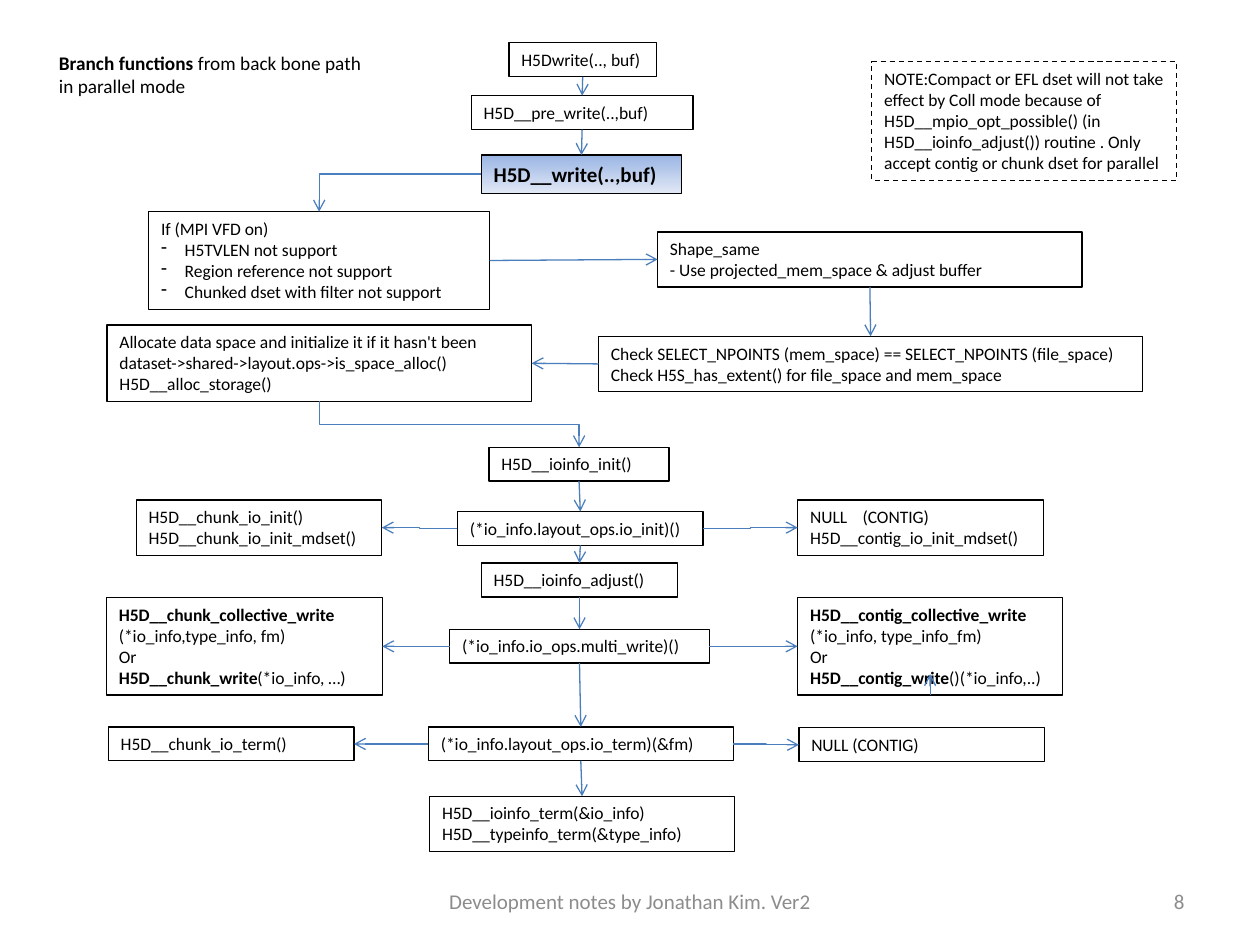
from dataclasses import dataclass

from lxml import etree
from pptx import Presentation
from pptx import util as u
from pptx.dml.color import RGBColor
from pptx.enum import dml, shapes, text
from pptx.oxml import ns


@dataclass(frozen=True)
class Theme:
    font: str = "Calibri"
    ink: str = "000000"
    arrow: str = "4B7EBC"
    muted: str = "8C8C8C"
    gradient: tuple = ("9AB5E4", "E1E8F5")
    body: float = 10
    heading: float = 11
    strong: float = 12
    line: float = 0.75


THEME = Theme()
TOP, LEFT, BOTTOM, RIGHT = range(4)
LINE_PITCH = 1.21  # line height as a multiple of the type size
INSETS = 7.3  # top and bottom inset together

# Name: left, top, width, lines. A pair is a bold run and a regular run.
STEPS = {
    "dwrite": (290.9, 24.5, 84.2, ["H5Dwrite(.., buf)"]),
    "pre_write": (269.3, 54.7, 126.7, ["H5D__pre_write(..,buf)"]),
    "shape_same": (375.8, 132.5, 242.6, [
        "Shape_same", "- Use projected_mem_space & adjust buffer"]),
    "check": (342, 192.2, 311, [
        "Check SELECT_NPOINTS (mem_space) == SELECT_NPOINTS (file_space)",
        "Check H5S_has_extent() for file_space and mem_space"]),
    "alloc": (61.2, 185.8, 242.6, [
        "Allocate data space and initialize it if it hasn't been",
        "dataset->shared->layout.ops->is_space_alloc()",
        "H5D__alloc_storage()"]),
    "info_init": (279.4, 255.6, 103, ["H5D__ioinfo_init()"]),
    "io_init": (261.4, 292.3, 140.4, ["(*io_info.layout_ops.io_init)()"]),
    "chunk_init": (77.8, 285.8, 140.4, [
        "H5D__chunk_io_init()", "H5D__chunk_io_init_mdset()"]),
    "contig_init": (455.8, 285.8, 140.4, [
        "NULL\t(CONTIG)", "H5D__contig_io_init_mdset()"]),
    "adjust": (275, 321.8, 112.3, ["H5D__ioinfo_adjust()"]),
    "multi_write": (257, 359.6, 148.3, ["(*io_info.io_ops.multi_write)()"]),
    "chunk_write": (60.8, 341.5, 157.7, [
        ("H5D__chunk_collective_write", ""), "(*io_info,type_info, fm)",
        "Or", ("H5D__chunk_write", "(*io_info, …)")]),
    "contig_write": (455.8, 341.5, 151.5, [
        ("H5D__contig_collective_write", ""), "(*io_info, type_info_fm)",
        "Or", ("H5D__contig_write", "()(*io_info,..)")]),
    "io_term": (244.8, 415.4, 174.2, ["(*io_info.layout_ops.io_term)(&fm)"]),
    "chunk_term": (61.9, 415.4, 140.4, ["H5D__chunk_io_term()"]),
    "contig_term": (456.5, 415.9, 140.4, ["NULL (CONTIG)"]),
    "info_term": (245.5, 455, 174.2, [
        "H5D__ioinfo_term(&io_info)", "H5D__typeinfo_term(&type_info)"]),
}

# Straight arrows: from box, side, to box, side
STRAIGHT = [
    ("mpi", RIGHT, "shape_same", LEFT),
    ("shape_same", BOTTOM, "check", TOP),
    ("check", LEFT, "alloc", RIGHT),
]
CHAINS = [
    ("dwrite", "pre_write", "write"),
    ("info_init", "io_init", "adjust", "multi_write", "io_term", "info_term"),
]
# Middle step with its chunk and contig branches
BRANCHES = [
    ("io_init", "chunk_init", "contig_init"),
    ("multi_write", "chunk_write", "contig_write"),
    ("io_term", "chunk_term", "contig_term"),
]


def rgb(value):
    return RGBColor.from_string(value)


def add_paragraph_mark(para, indent=None, tab=None):
    """Give a paragraph a hyphen bullet or a tab stop."""
    props = para._p.get_or_add_pPr()
    if indent:
        props.set("marL", str(u.Pt(indent)))
        props.set("indent", str(-u.Pt(indent)))
        etree.SubElement(props, ns.qn("a:buChar"), char="-")
    if tab:
        stops = etree.SubElement(props, ns.qn("a:tabLst"))
        etree.SubElement(stops, ns.qn("a:tab"), pos=str(u.Pt(tab)), algn="l")


def write_lines(box, lines, size, color=THEME.ink, align=text.PP_ALIGN.LEFT,
                anchor=text.MSO_ANCHOR.TOP, bullets_from=None):
    frame = box.text_frame
    frame.word_wrap = True
    frame.vertical_anchor = anchor
    for number, line in enumerate(lines):
        para = frame.add_paragraph() if number else frame.paragraphs[0]
        para.alignment = align
        bold, regular = line if isinstance(line, tuple) else ("", line)
        if bullets_from is not None and number >= bullets_from:
            add_paragraph_mark(para, indent=13.5)
        if "\t" in regular:
            add_paragraph_mark(para, tab=30)
        for words, is_bold in ((bold, True), (regular, False)):
            if words:
                span = para.add_run()
                span.text = words
                span.font.name = THEME.font
                span.font.size = u.Pt(size)
                span.font.bold = is_bold
                span.font.color.rgb = rgb(color)


def add_step(page, left, top, width, lines, size=THEME.body, rows=None,
             bullets_from=None):
    """Outlined box, as tall as its rows of text."""
    height = INSETS + (rows or len(lines)) * size * LINE_PITCH
    box = page.shapes.add_shape(shapes.MSO_SHAPE.RECTANGLE, u.Pt(left),
                                u.Pt(top), u.Pt(width), u.Pt(height))
    box.shadow.inherit = False
    box.fill.background()
    box.line.color.rgb = rgb(THEME.ink)
    box.line.width = u.Pt(THEME.line)
    write_lines(box, lines, size, bullets_from=bullets_from)
    box.text_frame.auto_size = text.MSO_AUTO_SIZE.SHAPE_TO_FIT_TEXT
    return box


def add_text(page, left, top, width, height, lines, size, **style):
    box = page.shapes.add_textbox(u.Pt(left), u.Pt(top), u.Pt(width),
                                  u.Pt(height))
    write_lines(box, lines, size, **style)


def add_arrow(page, kind=shapes.MSO_CONNECTOR.STRAIGHT, start=None, end=None,
              to=(0, 0)):
    """Arrow between (box, side) pairs; without an end it stops at to."""
    arrow = page.shapes.add_connector(kind, 0, 0, *map(u.Pt, to))
    arrow.begin_connect(*start)
    if end:
        arrow.end_connect(*end)
    arrow.line.color.rgb = rgb(THEME.arrow)
    arrow.line.width = u.Pt(THEME.line)
    etree.SubElement(arrow.line._get_or_add_ln(), ns.qn("a:tailEnd"),
                     type="arrow")
    etree.SubElement(arrow._element.spPr, ns.qn("a:effectLst"))
    return arrow


def turn_down_across_down(arrow):
    """Turn an elbow so that it leaves and arrives vertically."""
    across, down = arrow.width, arrow.height
    middle_x, middle_y = arrow.left + across // 2, arrow.top + down // 2
    arrow.left, arrow.top = middle_x - down // 2, middle_y - across // 2
    arrow.width, arrow.height = down, across
    frame = arrow._element.spPr.find(ns.qn("a:xfrm"))
    frame.set("rot", "16200000")
    frame.set("flipH", "1")


def main():
    deck = Presentation()
    deck.slide_width, deck.slide_height = u.Pt(720), u.Pt(540)
    page = deck.slides.add_slide(deck.slide_layouts[6])

    # Steps
    boxes = {name: add_step(page, *step) for name, step in STEPS.items()}
    boxes["mpi"] = add_step(page, 85, 121, 194.8, [
        "If (MPI VFD on)", "H5TVLEN not support",
        "Region reference not support",
        "Chunked dset with filter not support"], bullets_from=1)
    write = add_step(page, 275, 88.6, 114.5, [("H5D__write(..,buf)", "")],
                     THEME.strong)
    write.fill.gradient()
    write.fill.gradient_angle = 270
    for stop, color in zip(write.fill.gradient_stops, THEME.gradient):
        stop.color.rgb = rgb(color)
    boxes["write"] = write

    # Note
    note = add_step(page, 498.2, 35.3, 174.2, [
        "NOTE:Compact or EFL dset will not take effect by Coll mode because "
        "of H5D__mpio_opt_possible() (in H5D__ioinfo_adjust()) routine . "
        "Only accept contig or chunk dset for parallel"], rows=5)
    note.line.dash_style = dml.MSO_LINE.DASH

    # Straight arrows
    links = STRAIGHT + [(upper, BOTTOM, lower, TOP) for chain in CHAINS
                        for upper, lower in zip(chain, chain[1:])]
    for source, side, target, target_side in links:
        add_arrow(page, start=(boxes[source], side),
                  end=(boxes[target], target_side))
    add_arrow(page, start=(boxes["contig_write"], BOTTOM), to=(531.5, 385.2))

    # Elbow arrows
    elbow = shapes.MSO_CONNECTOR.ELBOW
    for middle, chunk, contig in BRANCHES:
        add_arrow(page, elbow, (boxes[middle], LEFT), (boxes[chunk], RIGHT))
        add_arrow(page, elbow, (boxes[middle], RIGHT), (boxes[contig], LEFT))
    corner = add_arrow(page, elbow, (write, LEFT), (boxes["mpi"], TOP))
    corner._element.spPr.find(ns.qn("a:prstGeom")).set("prst", "bentConnector2")
    turn_down_across_down(add_arrow(page, elbow, (boxes["alloc"], BOTTOM),
                                    (boxes["info_init"], TOP)))

    # Heading and footer
    add_text(page, 26.6, 25.9, 194.4, 33.8, [
        ("Branch functions ", "from back bone path"), "in parallel mode"],
        THEME.heading)
    footer = dict(color=THEME.muted, anchor=text.MSO_ANCHOR.MIDDLE)
    add_text(page, 246, 500.5, 228, 28.8,
             ["Development notes by Jonathan Kim. Ver2"], THEME.strong,
             align=text.PP_ALIGN.CENTER, **footer)
    add_text(page, 516, 500.5, 168, 28.8, ["8"], THEME.strong,
             align=text.PP_ALIGN.RIGHT, **footer)

    deck.save("out.pptx")


if __name__ == "__main__":
    main()
